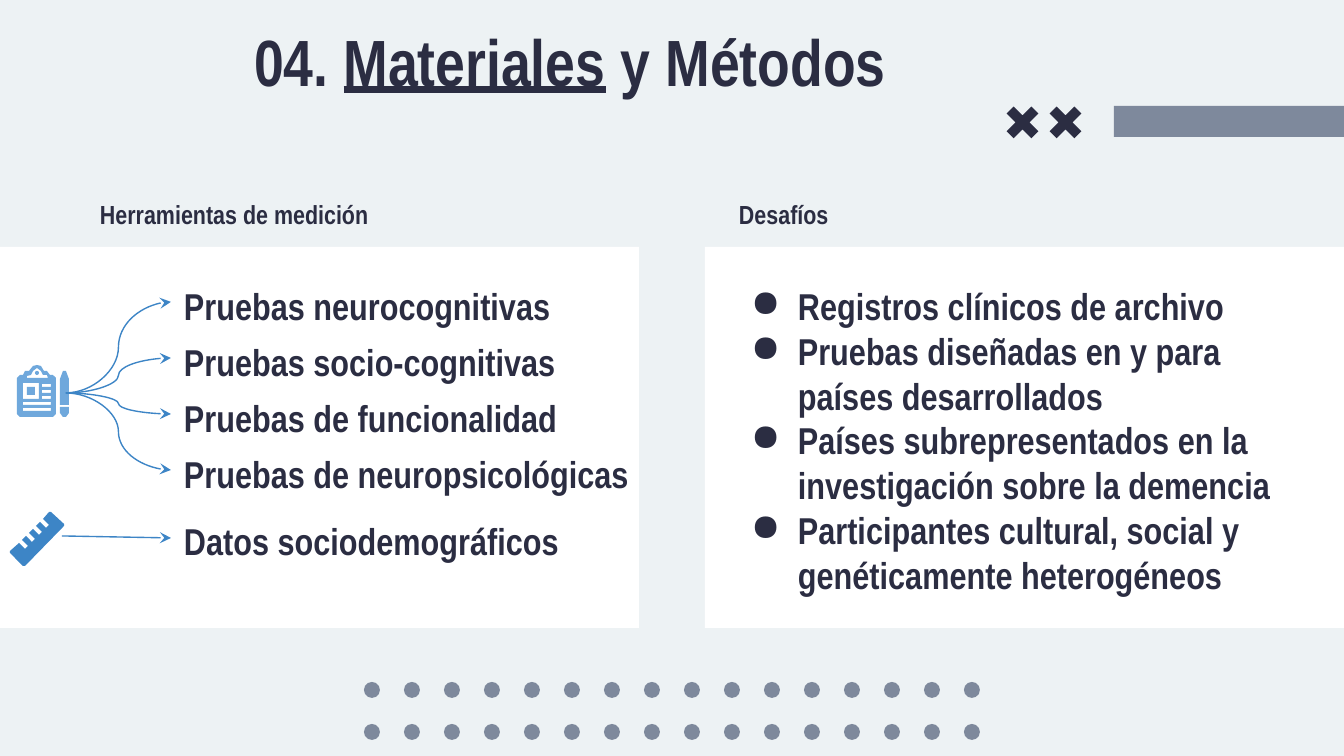
from lxml import etree
from pptx import Presentation
from pptx import util as u
from pptx.dml.color import RGBColor
from pptx.enum import shapes, text
from pptx.oxml.ns import qn

PALE = RGBColor(0xED, 0xF2, 0xF4)
WHITE = RGBColor(0xFF, 0xFF, 0xFF)
INK = RGBColor(0x2B, 0x2D, 0x42)
SLATE = RGBColor(0x7E, 0x89, 0x9C)
SKY = RGBColor(0x6F, 0xA8, 0xDC)
BLUE = RGBColor(0x3D, 0x85, 0xC6)

PX = 914400 / 134.4  # EMU per px


def px(n):
    return u.Emu(round(n * PX))


def box(left, top, right, bottom):
    return [(left, top), (right, top), (right, bottom), (left, bottom)]


class Deck:
    font = {"name": "Arial Narrow", "bold": True}
    frame = {"word_wrap": True, "auto_size": text.MSO_AUTO_SIZE.NONE,
             "vertical_anchor": text.MSO_ANCHOR.TOP,
             **{"margin_" + side: px(13) for side in ("left", "top", "right", "bottom")}}

    def __init__(self, prs):
        self.s = prs.slides.add_slide(prs.slide_layouts[5])
        fill = self.s.background.fill
        fill.solid()
        fill.fore_color.rgb = PALE

    def paint(self, sp, color):
        sp.fill.solid()
        sp.fill.fore_color.rgb = color
        sp.line.fill.background()
        sp.shadow.inherit = False
        return sp

    def shape(self, kind, x, y, w, h, color):
        return self.paint(self.s.shapes.add_shape(kind, px(x), px(y), px(w), px(h)), color)

    def outline(self, contours, color):
        fb = None
        for first, *rest in contours:
            if fb is None:
                fb = self.s.shapes.build_freeform(*first, scale=PX)
            else:
                fb.move_to(*first)
            fb.add_line_segments(rest, close=True)
        return self.paint(fb.convert_to_shape(), color)

    def style(self, font, size):
        for k, v in {**self.font, "size": u.Pt(size)}.items():
            setattr(font, k, v)
        font.color.rgb = INK

    def fit(self, sp):
        for k, v in self.frame.items():
            setattr(sp.text_frame, k, v)
        return sp.text_frame

    def title(self, x, y, w, h, runs, size):
        sp = self.s.shapes.title
        sp.left, sp.top, sp.width, sp.height = map(px, (x, y, w, h))
        p = self.fit(sp).paragraphs[0]
        p.alignment = text.PP_ALIGN.LEFT
        for words, underline in runs:
            r = p.add_run()
            r.text = words
            self.style(r.font, size)
            r.font.underline = underline

    def text(self, x, y, w, h, lines, size, bullet=None):
        tf = self.fit(self.s.shapes.add_textbox(px(x), px(y), px(w), px(h)))
        for i, line in enumerate(lines):
            p = tf.add_paragraph() if i else tf.paragraphs[0]
            if bullet:
                pPr = p._p.get_or_add_pPr()
                pPr.set("marL", str(px(67)))
                pPr.set("indent", str(px(-47)))
                clr = etree.SubElement(pPr, qn("a:buClr"))
                etree.SubElement(clr, qn("a:srgbClr"), val=str(INK))
                etree.SubElement(pPr, qn("a:buChar"), char=bullet)
            r = p.add_run()
            r.text = line
            self.style(r.font, size)

    def arrow(self, kind, x1, y1, x2, y2):
        c = self.s.shapes.add_connector(kind, px(x1), px(y1), px(x2), px(y2))
        c.line.color.rgb = BLUE
        c.line.width = u.Pt(0.75)
        etree.SubElement(c.line._get_or_add_ln(), qn("a:tailEnd"), type="stealth")
        etree.SubElement(c._element.spPr, qn("a:effectLst"))


def main():
    prs = Presentation()
    prs.slide_width, prs.slide_height = px(1344), px(756)
    d = Deck(prs)
    kind, link = shapes.MSO_SHAPE, shapes.MSO_CONNECTOR

    # White panels with their headings
    for x, heading_x, heading in ((0, 87, "Herramientas de medición"), (705, 726, "Desafíos")):
        d.shape(kind.RECTANGLE, x, 247, 639, 381, WHITE)
        d.text(heading_x, 185, 352, 54, [heading], 14)

    # Dot grid, bar and crosses
    for row in range(2):
        for col in range(16):
            d.shape(kind.OVAL, 364 + 40 * col, 682 + 42 * row, 16, 16, SLATE)
    d.shape(kind.RECTANGLE, 1114, 106, 230, 31, SLATE)
    for x in (1005, 1048):
        cross = d.shape(kind.CROSS, x, 105, 35, 35, INK)
        cross.adjustments[0] = 0.36
        cross.rotation = 45

    # Title
    d.title(241, 8, 749, 83, [("04. ", False), ("Materiales", True), (" y Métodos", False)], 35)

    # Clipboard icon: body, clip opening, photo frame, text lines
    d.outline([
        [(20, 375), (23, 375), (25, 371), (29, 371), (33, 366), (37, 365), (41, 366),
         (44, 371), (47, 371), (50, 375), (53, 375), (56, 378), (56, 414), (53, 417),
         (20, 417), (17, 414), (17, 378)],
        [(27, 378), (27, 376), (31, 375), (33, 371), (37, 368), (41, 371), (43, 375),
         (47, 375), (48, 378)],
        box(23, 383, 39, 399),
        box(27, 387, 35, 395),
        *[box(42, y, 51, y + 3) for y in (384, 390, 396)],
        *[box(23, y, 51, y + 3) for y in (402, 408)],
    ], SKY)
    d.shape(kind.OVAL, 35, 371, 4, 4, SKY)
    # Pencil and its end
    d.outline([[(63, 371), (66, 371), (69, 379), (69, 405), (60, 405), (60, 379)]], SKY)
    d.outline([[(60, 407), (69, 407), (69, 413), (66, 417), (63, 417), (60, 413)]], SKY)

    # Ruler icon with four notches
    notches = []
    for i in range(4):
        x, y = 43 - 7 * i, 519 + 7 * i
        notches += [(x, y), (x + 6, y + 6), (x + 3, y + 9), (x - 3, y + 3)]
    d.outline([[(49, 512), *notches, (10, 551), (10, 553), (23, 566), (25, 566),
                (64, 526), (64, 524), (51, 512)]], BLUE)

    # Measuring tools, fanned out from the clipboard
    tests = ("Pruebas neurocognitivas", "Pruebas socio-cognitivas",
             "Pruebas de funcionalidad", "Pruebas de neuropsicológicas")
    for i, test in enumerate(tests):
        d.text(171, 270 + 56 * i, 485, 66, [test], 20)
        d.arrow(link.CURVE, 66, 393, 171, 302 + 56 * i)
    d.text(171, 505, 434, 66, ["Datos sociodemográficos"], 20)
    d.arrow(link.STRAIGHT, 62, 536, 171, 538)

    # Challenges
    d.text(718, 270, 607, 319, [
        "Registros clínicos de archivo",
        "Pruebas diseñadas en y para países desarrollados",
        "Países subrepresentados en la investigación sobre la demencia",
        "Participantes cultural, social y genéticamente heterogéneos",
    ], 20, bullet="●")

    prs.save("out.pptx")


if __name__ == "__main__":
    main()
